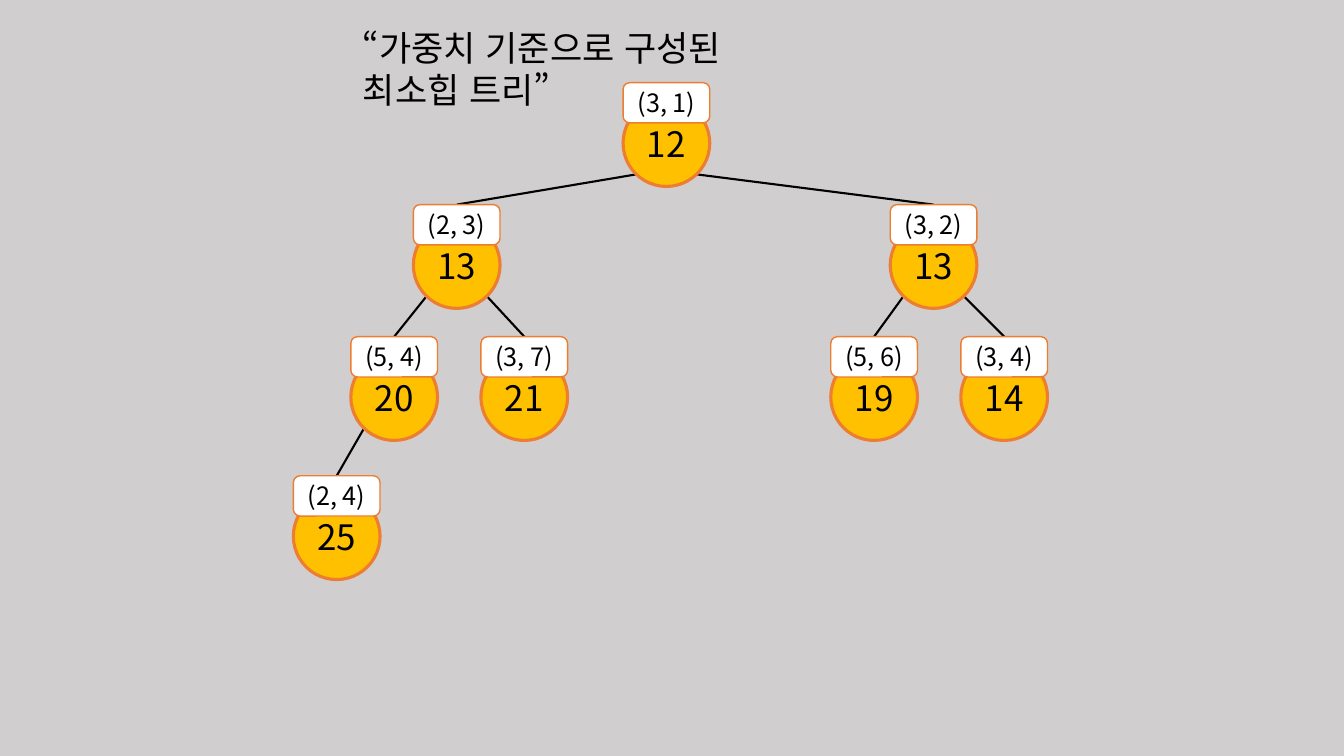
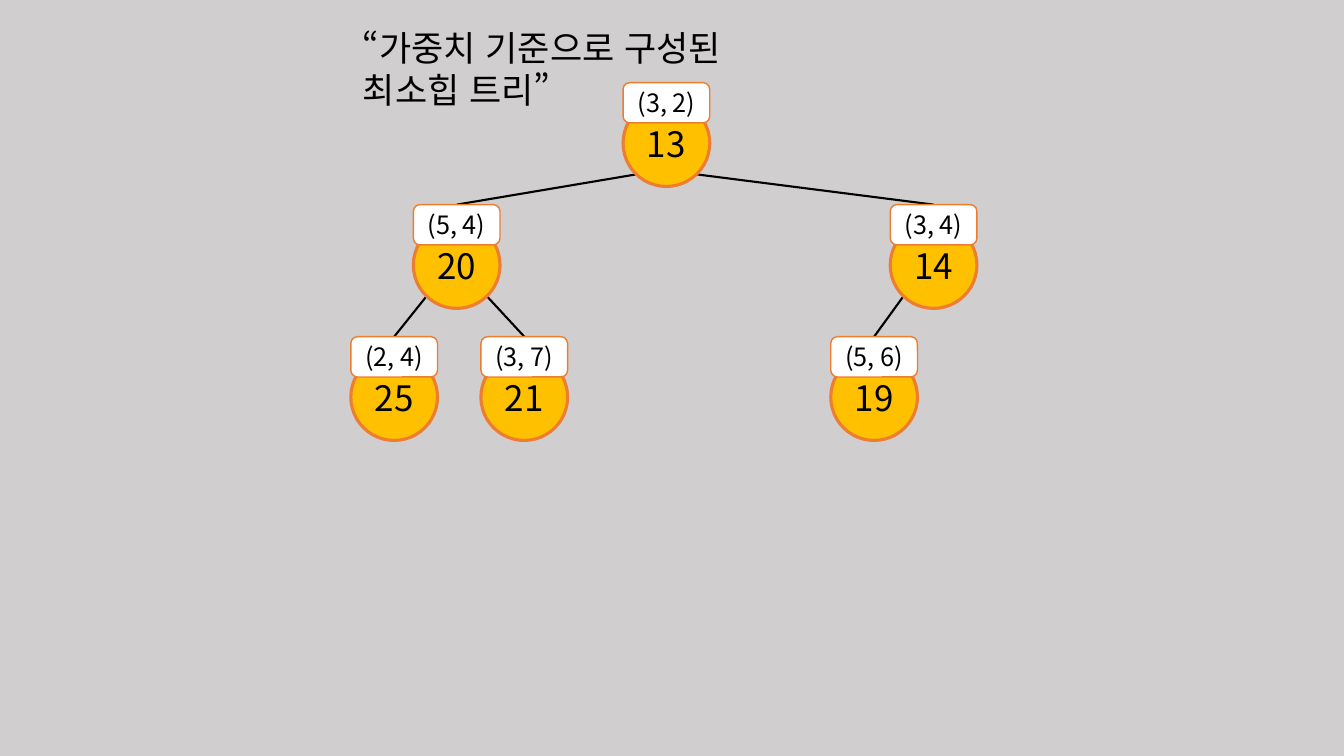
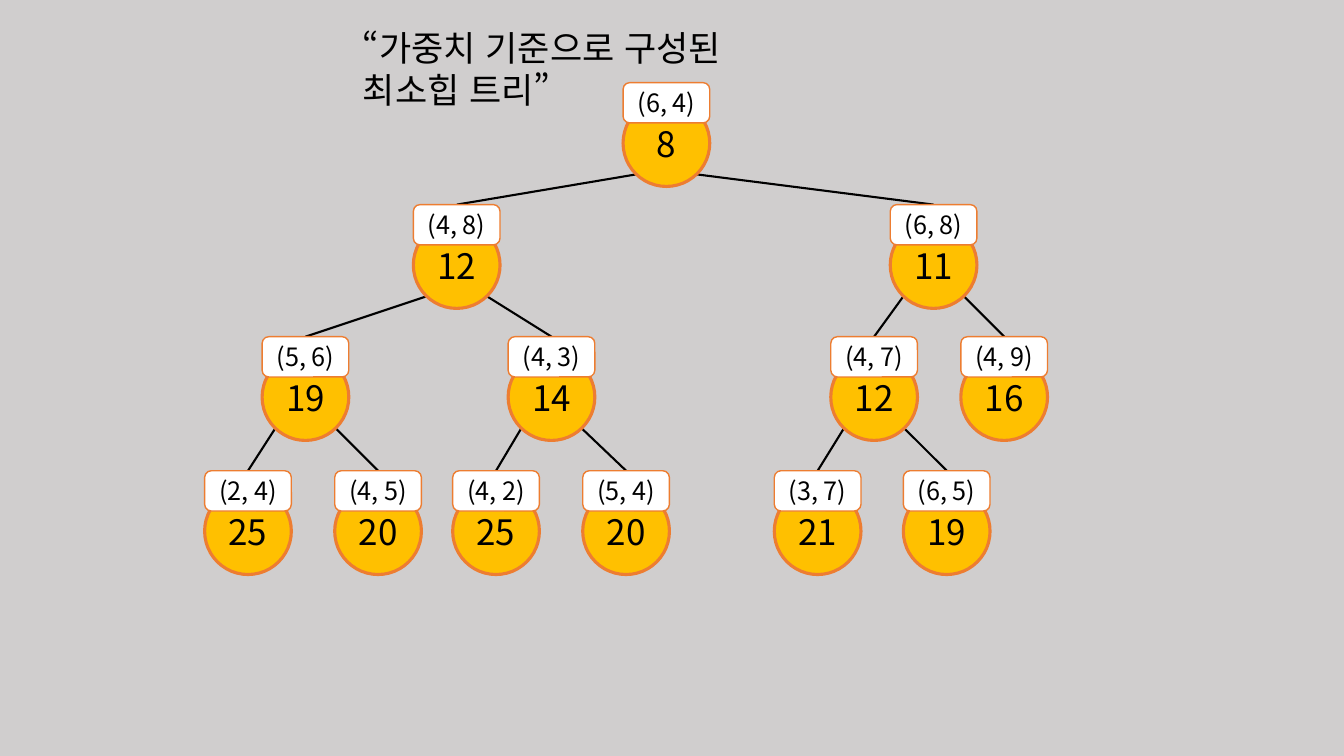
"""Build three slides of a minimum heap tree ordered by weight."""
import dataclasses

import pptx
import pptx.dml.color
import pptx.enum.lang
import pptx.enum.shapes
import pptx.enum.text
import pptx.oxml
import pptx.oxml.ns
import pptx.util

Inches = pptx.util.Inches
Pt = pptx.util.Pt
Shape = pptx.enum.shapes.MSO_SHAPE
Align = pptx.enum.text.PP_ALIGN
Anchor = pptx.enum.text.MSO_ANCHOR


@dataclasses.dataclass(frozen=True)
class Theme:
    font: str = "Noto Sans CJK KR"
    background: str = "D0CECE"
    ink: str = "000000"
    node: str = "FFC000"
    badge: str = "FFFFFF"
    outline: str = "ED7D31"
    large: float = 25
    small: float = 18
    title_leading: float = 30
    edge_width: float = 1.5
    node_width: float = 2.25
    badge_width: float = 1


THEME = Theme()
TITLE = "“가중치 기준으로 구성된 최소힙 트리”"
NODE_SIZE = 0.86
BADGE_HEIGHT = 0.4
NODE_DROP = 0.17
EDGE_REACH = 0.3
EDGE_DROP = 0.91

UPPER_ROWS = [0.82, 2.03, 3.34]
UPPER_COLUMNS = [6.61, 4.53, 9.26]
NARROW_COLUMNS = UPPER_COLUMNS + [3.91, 5.2, 8.67, 9.96]
WIDE_COLUMNS = UPPER_COLUMNS + [3.03, 5.47, 8.67, 9.96]

HEAPS = [
    dict(
        rows=UPPER_ROWS + [4.72],
        columns=NARROW_COLUMNS + [3.34],
        nodes=[(12, "(3, 1)"), (13, "(2, 3)"), (13, "(3, 2)"), (20, "(5, 4)"),
               (21, "(3, 7)"), (19, "(5, 6)"), (14, "(3, 4)"), (25, "(2, 4)")],
    ),
    dict(
        rows=UPPER_ROWS,
        columns=NARROW_COLUMNS,
        nodes=[(13, "(3, 2)"), (20, "(5, 4)"), (14, "(3, 4)"), (25, "(2, 4)"),
               (21, "(3, 7)"), (19, "(5, 6)")],
    ),
    dict(
        rows=UPPER_ROWS + [4.67],
        columns=WIDE_COLUMNS + [2.46, 3.75, 4.92, 6.21, 8.11, 9.39],
        nodes=[(8, "(6, 4)"), (12, "(4, 8)"), (11, "(6, 8)"), (19, "(5, 6)"),
               (14, "(4, 3)"), (12, "(4, 7)"), (16, "(4, 9)"), (25, "(2, 4)"),
               (20, "(4, 5)"), (25, "(4, 2)"), (20, "(5, 4)"), (21, "(3, 7)"),
               (19, "(6, 5)")],
    ),
]


def rgb(value):
    return pptx.dml.color.RGBColor.from_string(value)


def write(frame, text, size, align=Align.CENTER, anchor=Anchor.MIDDLE, leading=None):
    frame.vertical_anchor = anchor
    para = frame.paragraphs[0]
    para.alignment = align
    if leading:
        para.line_spacing = Pt(leading)
    span = para.add_run()
    span.text = text
    span.font.size = Pt(size)
    span.font.name = THEME.font
    span.font.color.rgb = rgb(THEME.ink)
    span.font.language_id = pptx.enum.lang.MSO_LANGUAGE_ID.KOREAN
    latin = span.font._element.find(pptx.oxml.ns.qn("a:latin"))
    east_asian = pptx.oxml.parse_xml(f'<a:ea {pptx.oxml.ns.nsdecls("a")} typeface="{THEME.font}"/>')
    latin.addnext(east_asian)


def add_label(group, kind, left, top, height, text, size, fill, width):
    box = group.shapes.add_shape(
        kind, Inches(left), Inches(top), Inches(NODE_SIZE), Inches(height))
    box.shadow.inherit = False
    box.fill.solid()
    box.fill.fore_color.rgb = rgb(fill)
    box.line.color.rgb = rgb(THEME.outline)
    box.line.width = Pt(width)
    frame = box.text_frame
    frame.margin_left = frame.margin_right = frame.margin_top = frame.margin_bottom = 0
    write(frame, text, size)


def add_node(page, centre, top, number, pair):
    group = page.shapes.add_group_shape()
    left = centre - NODE_SIZE / 2
    add_label(group, Shape.OVAL, left, top + NODE_DROP, NODE_SIZE,
              str(number), THEME.large, THEME.node, THEME.node_width)
    add_label(group, Shape.ROUNDED_RECTANGLE, left, top, BADGE_HEIGHT,
              pair, THEME.small, THEME.badge, THEME.badge_width)


def add_edge(page, start, end):
    edge = page.shapes.add_connector(
        pptx.enum.shapes.MSO_CONNECTOR.STRAIGHT, *map(Inches, start + end))
    edge.line.color.rgb = rgb(THEME.ink)
    edge.line.width = Pt(THEME.edge_width)
    edge._element.spPr.append(
        pptx.oxml.parse_xml(f'<a:effectLst {pptx.oxml.ns.nsdecls("a")}/>'))


def add_heap(page, rows, columns, nodes):
    places = [(columns[index], rows[(index + 1).bit_length() - 1])
              for index in range(len(nodes))]
    for index, child in enumerate(places[1:], start=1):
        centre, top = places[(index - 1) // 2]
        reach = -EDGE_REACH if index % 2 else EDGE_REACH
        add_edge(page, (centre + reach, top + EDGE_DROP), child)
    for place, node in zip(places, nodes):
        add_node(page, *place, *node)


def prepare_layout(deck):
    deck.slide_master.background.fill.solid()
    deck.slide_master.background.fill.fore_color.rgb = rgb(THEME.background)
    layout = deck.slide_layouts.get_by_name("Title Only")
    title = layout.placeholders[0]
    title.left, title.top = Inches(3.5), Inches(0.21)
    title.width, title.height = Inches(4.2), Inches(0.94)
    return layout


def main():
    deck = pptx.Presentation()
    deck.slide_width, deck.slide_height = Inches(13.33), Inches(7.5)
    layout = prepare_layout(deck)
    for heap in HEAPS:
        page = deck.slides.add_slide(layout)
        frame = page.shapes.title.text_frame
        frame.auto_size = pptx.enum.text.MSO_AUTO_SIZE.NONE
        frame.word_wrap = True
        write(frame, TITLE, THEME.large, align=Align.LEFT, anchor=Anchor.TOP,
              leading=THEME.title_leading)
        add_heap(page, **heap)
    deck.save("out.pptx")


if __name__ == "__main__":
    main()
